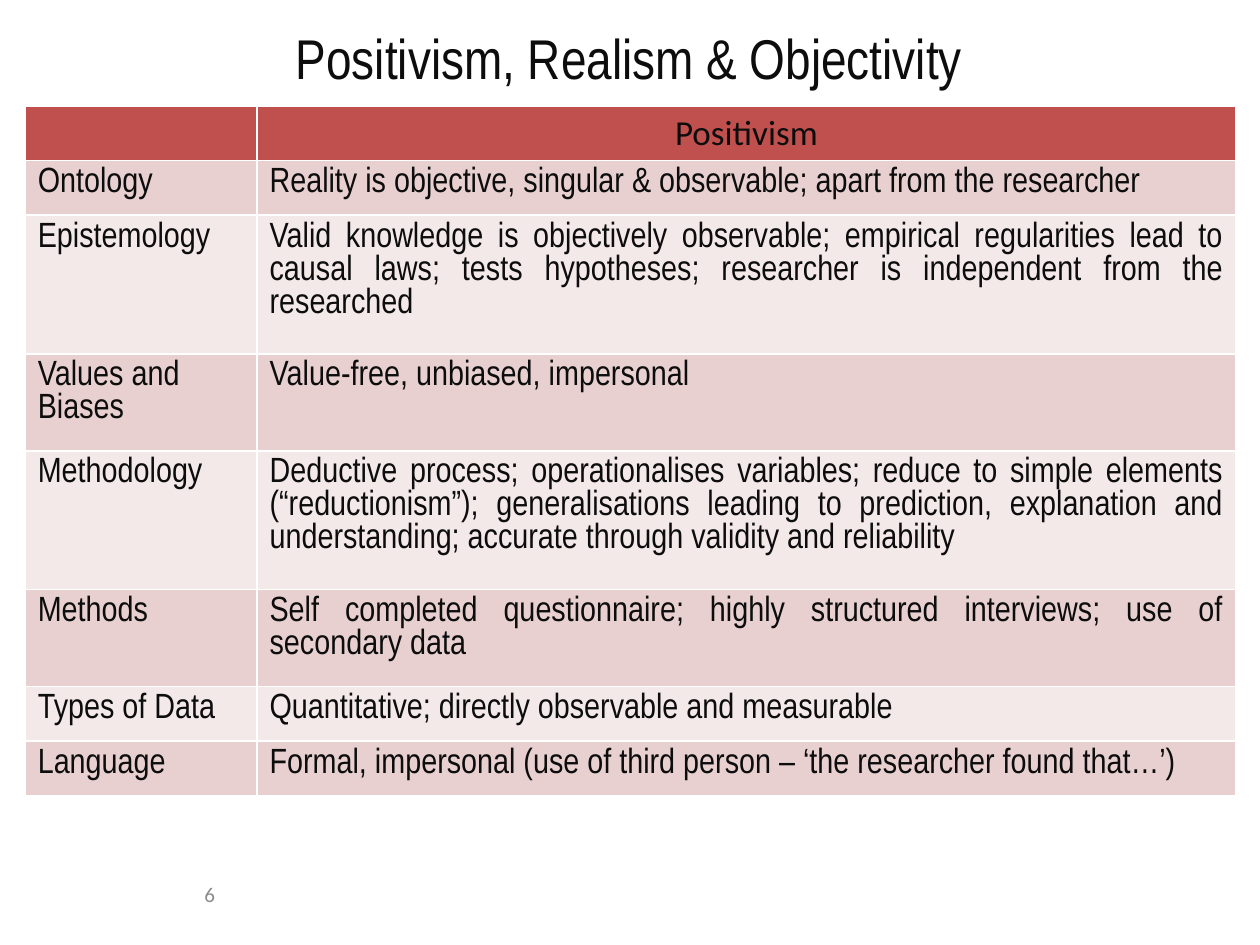
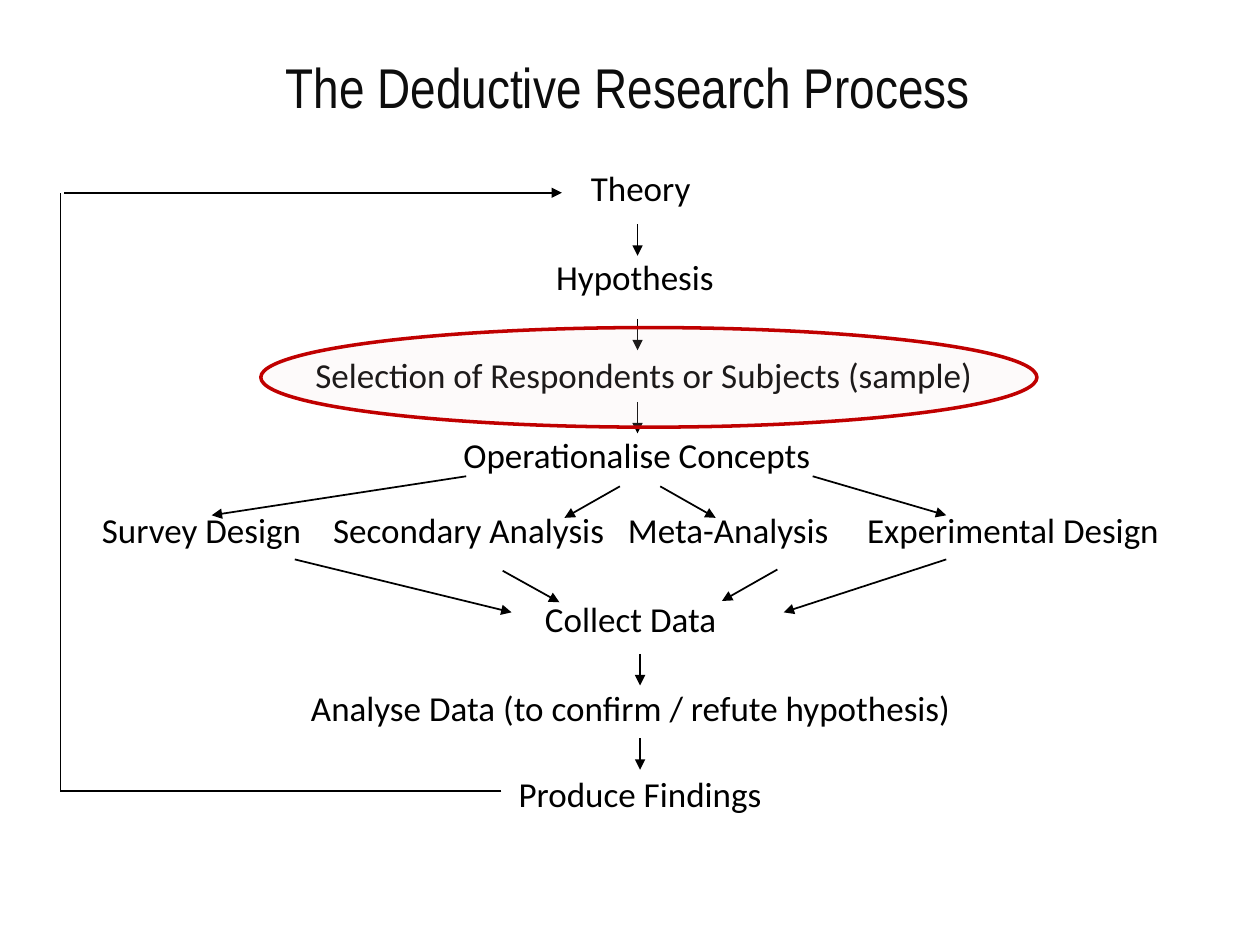
from lxml import etree
from pptx import Presentation
from pptx import util as u
from pptx.dml.color import RGBColor
from pptx.enum import shapes, text
from pptx.oxml.ns import qn

# Shared look
COLS, ROWS = 100, 75  # grid units across and down the slide
W, H = u.Inches(10), u.Inches(7.5)
NARROW, BODY = "Arial Narrow", "Calibri"
INK, BLACK, GREY, WHITE = "0D0D0D", "000000", "8C8C8C", "FFFFFF"
HEADER, BANDS = "C0504D", ("E8D0D0", "F4E9E9")
RING, RING_FILL = "C00000", "F2DCDB"
ALIGN = text.PP_ALIGN
MIDDLE, TOP = text.MSO_ANCHOR.MIDDLE, text.MSO_ANCHOR.TOP


def rgb(hex_colour):
    return RGBColor.from_string(hex_colour)


def col(n):
    return round(W * n / COLS)


def row(n):
    return round(H * n / ROWS)


def place(box, x, y, w, h):
    """Slide lengths of a part given in grid units relative to box."""
    return col(box[0] + x), row(box[1] + y), col(w), row(h)


def style(p, size, font, colour, align=ALIGN.CENTER):
    p.alignment = align
    p.font.size = u.Pt(size)
    p.font.name = font
    p.font.color.rgb = rgb(colour)


def add_text(s, at, words, size, font, colour, anchor=TOP):
    tf = s.shapes.add_textbox(*at).text_frame
    tf.word_wrap = True
    tf.vertical_anchor = anchor
    p = tf.paragraphs[0]
    p.text = words
    style(p, size, font, colour)


def add_title(s, box, words):
    add_text(s, place(box, 0, 0, *box[2:]), words, 32, NARROW, INK, MIDDLE)


def add_page_number(s, box, number):
    add_text(s, place(box, 0, 0, *box[2:]), number, 12, BODY, GREY)


def add_line(s, box, start, end, arrow=True):
    x1, y1 = place(box, *start, 0, 0)[:2]
    x2, y2 = place(box, *end, 0, 0)[:2]
    line = s.shapes.add_connector(shapes.MSO_CONNECTOR.STRAIGHT, x1, y1, x2, y2)
    line.line.color.rgb = rgb(BLACK)
    line.line.width = u.Pt(1)
    if arrow:
        etree.SubElement(line.line._get_or_add_ln(), qn("a:tailEnd"), type="triangle")
    etree.SubElement(line._element.spPr, qn("a:effectLst"))


# Table slide
ASPECTS = [
    ("Ontology", "Reality is objective, singular & observable; apart from the researcher", 4.34),
    ("Epistemology", "Valid knowledge is objectively observable; empirical regularities lead to "
     "causal laws; tests hypotheses; researcher is independent from the researched", 11),
    ("Values and Biases", "Value-free, unbiased, impersonal", 7.7),
    ("Methodology", "Deductive process; operationalises variables; reduce to simple elements "
     "(“reductionism”); generalisations leading to prediction, explanation and understanding; "
     "accurate through validity and reliability", 11),
    ("Methods", "Self completed questionnaire; highly structured interviews; "
     "use of secondary data", 7.7),
    ("Types of Data", "Quantitative; directly observable and measurable", 4.34),
    ("Language", "Formal, impersonal (use of third person – ‘the researcher found that…’)", 4.34),
]


def paint_cell(cell, fill):
    tc_pr = cell._tc.get_or_add_tcPr()
    for side in "LRTB":
        ln = etree.SubElement(tc_pr, qn(f"a:ln{side}"), w=str(u.Pt(1)))
        solid = etree.SubElement(ln, qn("a:solidFill"))
        etree.SubElement(solid, qn("a:srgbClr"), val=WHITE)
    cell.fill.solid()
    cell.fill.fore_color.rgb = rgb(fill)


def add_aspect_table(s, box):
    label_width = 18.4
    table = s.shapes.add_table(len(ASPECTS) + 1, 2, *place(box, 0, 0, *box[2:])).table
    table.columns[0].width = col(label_width)
    table.columns[1].width = col(box[2] - label_width)

    # Header row
    table.rows[0].height = row(4.34)
    for cell in table.rows[0].cells:
        paint_cell(cell, HEADER)
    p = table.cell(0, 1).text_frame.paragraphs[0]
    p.text = "Positivism"
    style(p, 20, BODY, INK)

    # Banded rows
    for i, (aspect, view, height) in enumerate(ASPECTS):
        table.rows[i + 1].height = row(height)
        for j, (words, align) in enumerate(((aspect, ALIGN.LEFT), (view, ALIGN.JUSTIFY))):
            cell = table.cell(i + 1, j)
            paint_cell(cell, BANDS[i % 2])
            p = cell.text_frame.paragraphs[0]
            p.text = words
            style(p, 20, NARROW, INK, align)


def positivism_slide(s):
    add_page_number(s, (5, 69.5, 23.3, 4), "6")
    add_title(s, (16.1, 1.3, 67.7, 6.4), "Positivism, Realism & Objectivity")
    add_aspect_table(s, (2, 8.4, 96.1, 54.76))


# Process slide: label, centre, top, width
STEPS = [
    ("Theory", 46.05, 0, 12.5),
    ("Hypothesis", 45.6, 7.1, 19.6),
    ("Operationalise Concepts", 45.75, 21.2, 35.3),
    ("Selection of Respondents or Subjects (sample)", 46.3, 14.9, 72.4),
    ("Collect Data", 45.25, 34.2, 72.5),
    ("Analyse Data (to confirm / refute hypothesis)", 45.25, 41.3, 72.5),
    ("Produce Findings", 46, 48.1, 72.4),
]
DESIGNS = [
    ("Survey Design", 11.2, 27.2, 21),
    ("Secondary Analysis", 32.4, 27.2, 27),
    ("Meta-Analysis", 53, 27.2, 21),
    ("Experimental Design", 75.6, 27.2, 29),
]
DOWN_ARROWS = [(45.8, 5.1), (45.8, 12.6), (45.8, 19.2), (46, 39.2), (46, 45.9)]
DOWN_LENGTH = 2.5
TO_DESIGNS = [
    ((32.2, 25.1), (12, 28.2)), ((44.4, 25.9), (40, 28.4)),
    ((47.6, 25.9), (52, 28.4)), ((59.7, 25.1), (70.3, 28.2)),
]
TO_COLLECT = [
    ((18.6, 31.7), (35.8, 35.9)), ((35.1, 32.6), (39.6, 35.1)),
    ((56.9, 32.5), (52.5, 35)), ((70.3, 31.7), (57.4, 35.9)),
]


def add_sample_ring(s, box):
    ring = s.shapes.add_shape(shapes.MSO_SHAPE.OVAL, *place(box, 0, 0, *box[2:]))
    ring.shadow.inherit = False
    ring.fill.solid()
    ring.fill.fore_color.rgb = rgb(RING_FILL)
    colour = ring._element.spPr.find(qn("a:solidFill"))[0]
    etree.SubElement(colour, qn("a:alpha"), val="12000")
    ring.line.color.rgb = rgb(RING)
    ring.line.width = u.Pt(2)


def add_process(s, box):
    # Arrows between the steps
    for x, y in DOWN_ARROWS:
        add_line(s, box, (x, y), (x, y + DOWN_LENGTH))
    for start, end in TO_DESIGNS + TO_COLLECT:
        add_line(s, box, start, end)

    # Feedback loop from findings to theory
    top, bottom = 2.6, 50.1
    add_line(s, box, (0.3, top), (39.8, top))
    add_line(s, box, (35, bottom), (0, bottom), arrow=False)
    add_line(s, box, (0, bottom), (0, top), arrow=False)

    # Step labels
    for label, centre, y, width in STEPS + DESIGNS:
        at = place(box, centre - width / 2, y, width, 4.4)
        add_text(s, at, label, 20, BODY, BLACK)


def process_slide(s):
    add_title(s, (16, 2.1, 67.7, 9.5), "The Deductive Research Process")
    add_process(s, (4.8, 12.7, 88.5, 52.5))
    add_sample_ring(s, (20.7, 26, 61.6, 7.9))


def main():
    prs = Presentation()
    prs.slide_width, prs.slide_height = W, H
    for build in (positivism_slide, process_slide):
        build(prs.slides.add_slide(prs.slide_layouts[6]))
    prs.save("out.pptx")


if __name__ == "__main__":
    main()
